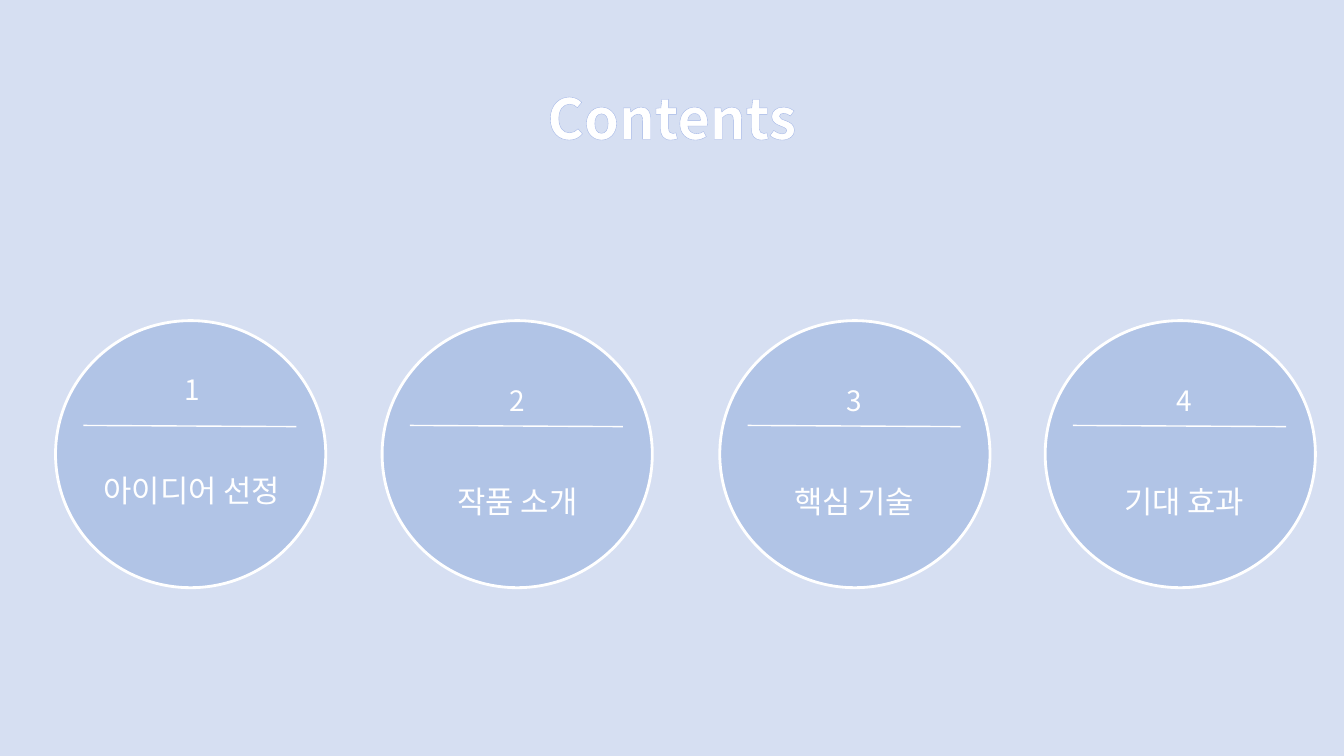
from dataclasses import dataclass

from lxml.etree import SubElement
from pptx import Presentation
from pptx.dml.color import RGBColor
from pptx.enum.shapes import MSO_CONNECTOR, MSO_SHAPE
from pptx.enum.text import MSO_ANCHOR, MSO_AUTO_SIZE, PP_ALIGN
from pptx.oxml import parse_xml
from pptx.oxml.ns import nsdecls, qn
from pptx.slide import Slide
from pptx.text.text import Font
from pptx.util import Cm, Pt

FONT = "Noto Sans CJK KR"
COLORS = {"back": "D6DFF2", "disc": "B1C4E6", "white": "FFFFFF", "edge": "A0B4E6"}

# Shared measures in cm
DISC_TOP, DISC_WIDE, DISC_HIGH = 8.08, 6.81, 6.73
RULE_TOP, RULE_IN, RULE_WIDE, RULE_DROP = 10.72, 0.7, 5.37, 0.03
LABEL_WIDE, NUMBER_WIDE, LABEL_GAP = 5.0, 3.0, 2.51


@dataclass
class Topic:
    label: str
    left: float  # left edge of the disc
    mid: float  # centre of the text
    top: float = 9.53  # top of the number


TOPICS = [
    Topic("아이디어 선정", 1.4, 4.84, 9.25),
    Topic("작품 소개", 9.63, 13.04),
    Topic("핵심 기술", 18.14, 21.53),
    Topic("기대 효과", 26.34, 29.84),
]


def color(name: str) -> RGBColor:
    return RGBColor.from_string(COLORS[name])


def add_text(slide: Slide, text: str, mid: float, top: float,
             wide: float, high: float, size: int) -> Font:
    box = slide.shapes.add_textbox(Cm(mid - wide / 2), Cm(top), Cm(wide), Cm(high))
    frame = box.text_frame
    frame.text = text
    frame.word_wrap = True
    frame.auto_size = MSO_AUTO_SIZE.SHAPE_TO_FIT_TEXT
    frame.vertical_anchor = MSO_ANCHOR.MIDDLE
    para = frame.paragraphs[0]
    para.alignment = PP_ALIGN.CENTER
    font = para.runs[0].font
    font.name, font.size = FONT, Pt(size)
    font.color.rgb = color("white")
    # East Asian typeface for the Korean letters
    SubElement(font._element, qn("a:ea"), typeface=FONT)
    return font


def add_title(slide: Slide, text: str) -> None:
    font = add_text(slide, text, 16.93, 1.98, 15.1, 1.93, 40)
    font.bold = True
    edge = parse_xml(
        f'<a:ln {nsdecls("a")} w="{Pt(0.75)}"><a:solidFill>'
        f'<a:srgbClr val="{COLORS["edge"]}"/></a:solidFill></a:ln>'
    )
    font._element.insert(0, edge)


def add_disc(slide: Slide, topic: Topic) -> None:
    disc = slide.shapes.add_shape(MSO_SHAPE.OVAL, Cm(topic.left), Cm(DISC_TOP),
                                  Cm(DISC_WIDE), Cm(DISC_HIGH))
    disc.shadow.inherit = False
    disc.fill.solid()
    disc.fill.fore_color.rgb = color("disc")
    disc.line.color.rgb = color("white")
    disc.line.width = Pt(2)

    # Dividing rule
    start = topic.left + RULE_IN
    rule = slide.shapes.add_connector(
        MSO_CONNECTOR.STRAIGHT, Cm(start), Cm(RULE_TOP),
        Cm(start + RULE_WIDE), Cm(RULE_TOP + RULE_DROP))
    rule.line.color.rgb = color("white")
    rule.line.width = Pt(1)
    SubElement(rule._element.spPr, qn("a:effectLst"))


def main() -> None:
    deck = Presentation()
    deck.slide_width, deck.slide_height = Cm(33.87), Cm(19.05)
    slide = deck.slides.add_slide(deck.slide_layouts[6])
    slide.background.fill.solid()
    slide.background.fill.fore_color.rgb = color("back")

    add_title(slide, "Contents")

    # Numbered topics
    for count, topic in enumerate(TOPICS, 1):
        add_disc(slide, topic)
        add_text(slide, str(count), topic.mid, topic.top, NUMBER_WIDE, 1.1, 20)
        add_text(slide, topic.label, topic.mid, topic.top + LABEL_GAP,
                 LABEL_WIDE, 1.18, 22)

    deck.save("out.pptx")


if __name__ == "__main__":
    main()
